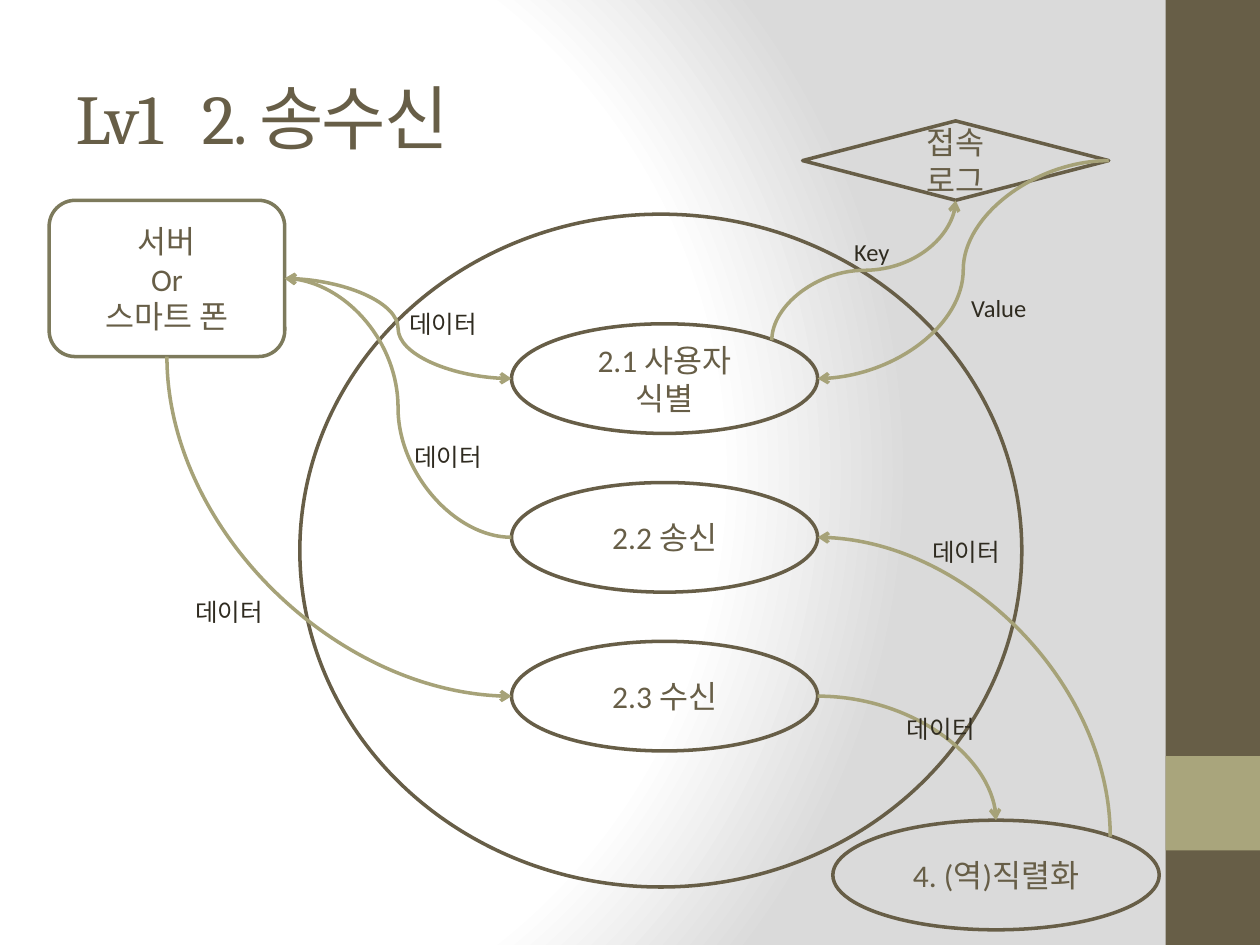
from dataclasses import dataclass

from pptx import Presentation
from pptx.dml.color import RGBColor
from pptx.enum.shapes import MSO_CONNECTOR as Link, MSO_SHAPE as Kind
from pptx.enum.text import MSO_ANCHOR as Anchor, MSO_AUTO_SIZE as AutoSize, PP_ALIGN as Align
from pptx.oxml import parse_xml
from pptx.oxml.ns import nsdecls, qn
from pptx.util import Inches, Pt
from lxml.etree import SubElement


@dataclass(frozen=True)
class Theme:
    brown: str = "675E47"
    olive: str = "A9A57C"
    moss: str = "7D7A5C"
    flow: str = "A6A278"
    ink: str = "2F2B20"
    light: str = "FFFFFF"
    shade: str = "DADADA"
    heading: str = "Cambria"
    body: str = "Calibri"
    title_size: int = 40
    node_size: int = 18
    label_size: int = 14
    line: int = 2


THEME = Theme()
CELL = 0.1  # inches: a grid of 100 columns by 75 rows
SLIDE = (0, 0, 100, 75)

# Connection sites: number, share of width, share of height
DIAG = 0.35
ROUND_SITES = {"top": (0, 0.5, 0), "left": (2, 0, 0.5),
               "right": (6, 1, 0.5), "top right": (7, 0.5 + DIAG, 0.5 - DIAG)}
PLAIN_SITES = {"bottom": (2, 0.5, 1), "right": (3, 1, 0.5)}


def grid(box, col, row, cols, rows):
    """Lengths of a part whose place is counted from the corner of a box."""
    return [Inches(CELL * n) for n in (box[0] + col, box[1] + row, cols, rows)]


def rgb(color):
    return RGBColor.from_string(color)


def write(frame, lines, font, size, color, align):
    for index, line in enumerate(lines):
        para = frame.paragraphs[0] if index == 0 else frame.add_paragraph()
        para.alignment = align
        span = para.add_run()
        span.text = line
        span.font.name, span.font.size = font, Pt(size)
        span.font.color.rgb = rgb(color)


def node(page, kind, place, lines=(), color=THEME.brown):
    shape = page.shapes.add_shape(kind, *place)
    shape.shadow.inherit = False
    shape.fill.background()
    shape.line.color.rgb, shape.line.width = rgb(color), Pt(THEME.line)
    shape.text_frame.word_wrap = True
    shape.text_frame.vertical_anchor = Anchor.MIDDLE
    write(shape.text_frame, lines, THEME.body, THEME.node_size, THEME.brown, Align.CENTER)
    return shape


def site(shape, name):
    sites = ROUND_SITES if shape.auto_shape_type == Kind.OVAL else PLAIN_SITES
    number, across, down = sites[name]
    return number, shape.left + int(shape.width * across), shape.top + int(shape.height * down)


def flow(page, source, source_site, target, target_site, both_ways=False):
    """Curved arrow that leaves and enters shapes at right angles to their edges."""
    first, x1, y1 = site(source, source_site)
    last, x2, y2 = site(target, target_site)
    link = page.shapes.add_connector(Link.CURVE, x1, y1, x2, y2)
    link.line.color.rgb, link.line.width = rgb(THEME.flow), Pt(THEME.line)
    props = link._element.spPr

    upright = not source_site.endswith(("left", "right")) or source_site == "top right"
    ends_upright = target_site in ("top", "bottom")
    if upright != ends_upright:
        props.find(qn("a:prstGeom")).set("prst", "curvedConnector2")
    if upright:  # turn the box so that the curve starts vertically
        wide, high = abs(x2 - x1), abs(y2 - y1)
        link.left, link.top = (x1 + x2 - high) // 2, (y1 + y2 - wide) // 2
        link.width, link.height = high, wide
        rising = y2 < y1
        frame = props.find(qn("a:xfrm"))
        frame.set("rot", str((270 if rising else 90) * 60000))
        frame.set("flipH", "0")
        frame.set("flipV", "1" if (x2 > x1) != rising else "0")

    # Glue, arrowheads, no shadow
    glue = next(link._element.iter(qn("p:cNvCxnSpPr")))
    for tag, shape, number in (("a:stCxn", source, first), ("a:endCxn", target, last)):
        SubElement(glue, qn(tag), id=str(shape.shape_id), idx=str(number))
    stroke = props.find(qn("a:ln"))
    for tag in ("a:headEnd", "a:tailEnd") if both_ways else ("a:tailEnd",):
        SubElement(stroke, qn(tag), type="arrow")
    SubElement(props, qn("a:effectLst"))


def label(page, place, text):
    box = page.shapes.add_textbox(*place)
    box.text_frame.word_wrap = True
    box.text_frame.auto_size = AutoSize.SHAPE_TO_FIT_TEXT
    write(box.text_frame, [text], THEME.body, THEME.label_size, THEME.ink, Align.LEFT)


def backdrop(page, box):
    stops = "".join(f'<a:gs pos="{share * 1000}"><a:srgbClr val="{color}"/></a:gs>'
                    for share, color in ((0, THEME.light), (75, THEME.light), (100, THEME.shade)))
    page._element.cSld.insert(0, parse_xml(
        f'<p:bg {nsdecls("p", "a")}><p:bgPr><a:gradFill rotWithShape="1"><a:gsLst>{stops}</a:gsLst>'
        '<a:path path="circle"><a:fillToRect l="20000" t="50000" r="100000" b="50000"/></a:path>'
        '</a:gradFill><a:effectLst/></p:bgPr></p:bg>'))
    # Side bar with its accent square
    for row, rows, color in ((0, 75, THEME.brown), (60, 7.5, THEME.olive)):
        bar = page.shapes.add_shape(Kind.RECTANGLE, *grid(box, 92.5, row, 7.5, rows))
        bar.shadow.inherit = False
        bar.fill.solid()
        bar.fill.fore_color.rgb = rgb(color)
        bar.line.fill.background()


def heading(page, box, text):
    title = page.shapes.title
    title.left, title.top, title.width, title.height = grid(box, 5, 3, 83.3, 12.5)
    title.text_frame.vertical_anchor = Anchor.MIDDLE
    write(title.text_frame, [text], THEME.heading, THEME.title_size, THEME.brown, Align.LEFT)
    for span in title.text_frame.paragraphs[0].runs:
        span.font._element.set("spc", "-100")


def processes(page, box):
    """The system circle and its evenly spaced steps."""
    node(page, Kind.OVAL, grid(box, 0, 0, box[2], box[3]))
    steps = (["2.1 사용자", "식별"], ["2.2 송신"], ["2.3 수신"])
    return [node(page, Kind.OVAL, grid(box, 16.8, 8.7 + 12.6 * index, 24.3, 8.7), lines)
            for index, lines in enumerate(steps)]


def diagram(page, box):
    identify, send, receive = processes(page, (23.8, 17, 57.3, 53.4))
    server = node(page, Kind.ROUNDED_RECTANGLE, grid(box, 3.9, 15.9, 18.7, 12.4),
                  ["서버", "Or", "스마트 폰"], THEME.moss)
    serializer = node(page, Kind.OVAL, grid(box, 66.1, 65.1, 25.9, 8.7), ["4. (역)직렬화"])
    log = node(page, Kind.DIAMOND, grid(box, 63.7, 9.6, 24.3, 6.3), ["접속", "로그"])

    # Data flows
    flow(page, serializer, "top right", send, "right")
    flow(page, server, "right", identify, "left", both_ways=True)
    flow(page, receive, "right", serializer, "top")
    flow(page, server, "bottom", receive, "left")
    flow(page, send, "left", server, "right")
    flow(page, identify, "top right", log, "bottom")
    flow(page, log, "right", identify, "right")

    # Flow labels
    for text, cols, spots in (
            ("Key", 7.5, [(66.8, 18.3)]),
            ("Value", 7.5, [(76.1, 22.8)]),
            ("데이터", 8.7, [(31.5, 24), (73, 42.1), (71, 56.2), (31.9, 34.6), (14.5, 46.9)])):
        for col, row in spots:
            label(page, grid(box, col, row, cols, 3.4), text)


deck = Presentation()
deck.slide_width, deck.slide_height = Inches(10), Inches(7.5)
page = deck.slides.add_slide(deck.slide_layouts[5])
backdrop(page, SLIDE)
heading(page, SLIDE, "Lv1   2. 송수신")
diagram(page, SLIDE)
deck.save("out.pptx")
